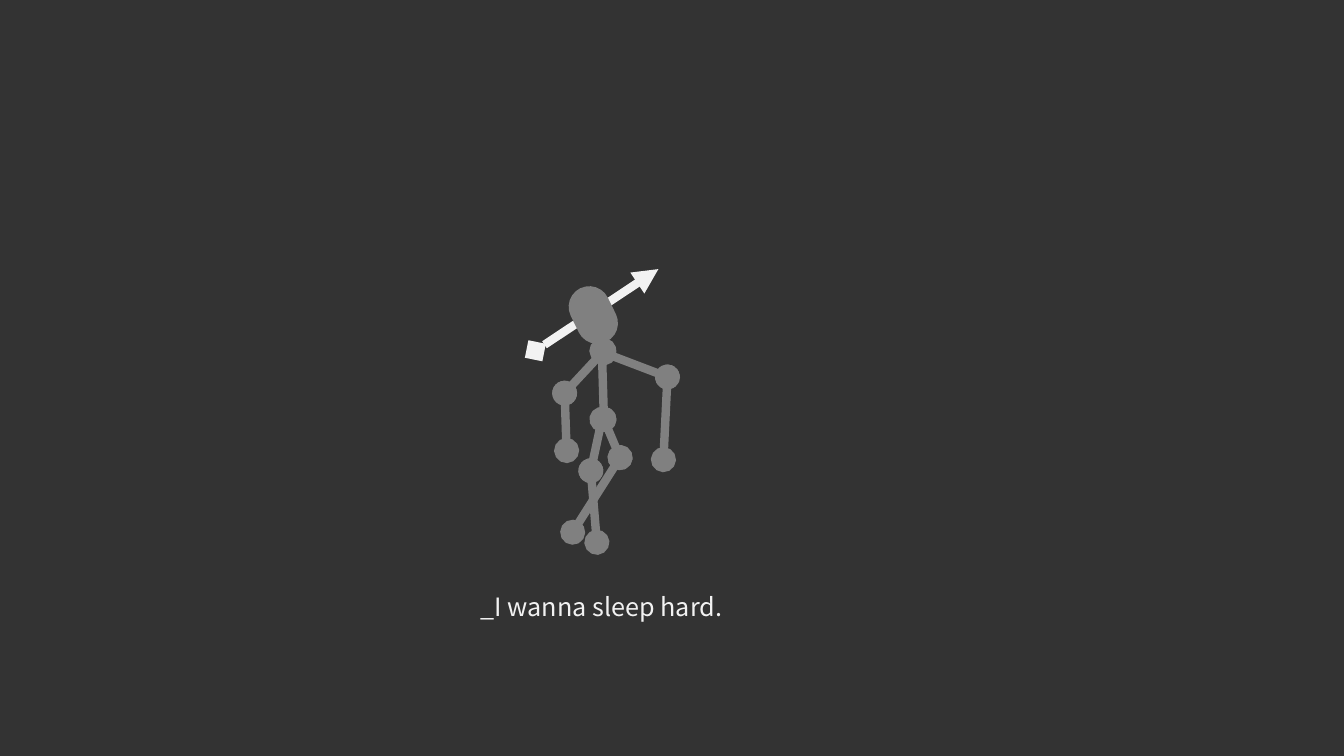
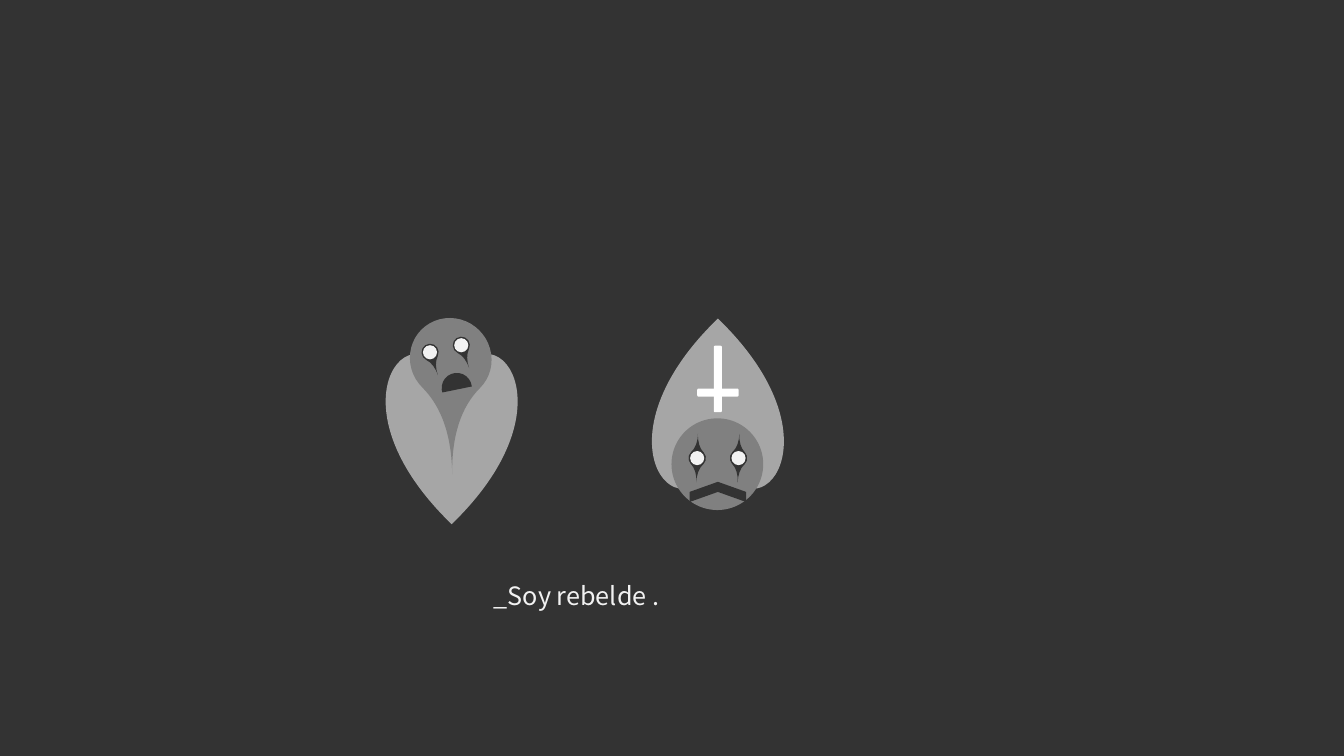
from itertools import pairwise

from lxml.etree import SubElement
from pptx import Presentation
from pptx.dml.color import RGBColor
from pptx.enum.shapes import MSO_CONNECTOR, MSO_SHAPE as Preset
from pptx.enum.text import MSO_AUTO_SIZE
from pptx.oxml.ns import qn
from pptx.util import Inches, Pt

BACKDROP = "333333"
BODY = "808080"
HOOD = "A6A6A6"
PALE = "F2F2F2"
WHITE = "FFFFFF"
FONT = "Noto Sans CJK SC"
SOCKET_SIZE = 0.17
EYEBALL_SIZE = 0.14


def rgb(value):
    return RGBColor.from_string(value)


class Storyboard:
    """Holds the shared style and the slide being drawn."""

    def __init__(self):
        self.deck = Presentation()
        self.deck.slide_width = Inches(13.33)
        self.deck.slide_height = Inches(7.5)

    def start_slide(self, caption, left, top, width):
        self.slide = self.deck.slides.add_slide(self.deck.slide_layouts[6])
        self.slide.background.fill.solid()
        self.slide.background.fill.fore_color.rgb = rgb(BACKDROP)
        self.canvas = self.slide.shapes
        box = self.canvas.add_textbox(Inches(left), Inches(top), Inches(width), Inches(0.42))
        box.text_frame.word_wrap = False
        box.text_frame.auto_size = MSO_AUTO_SIZE.SHAPE_TO_FIT_TEXT
        line = box.text_frame.paragraphs[0]
        line.text = caption
        line.font.size = Pt(18)
        line.font.name = FONT
        line.font.color.rgb = rgb(PALE)

    def start_group(self):
        self.canvas = self.slide.shapes.add_group_shape().shapes

    def shape(self, preset, left, top, width, height, fill, rotation=0, adjust=()):
        part = self.canvas.add_shape(preset, Inches(left), Inches(top), Inches(width), Inches(height))
        part.shadow.inherit = False
        part.rotation = rotation
        part.fill.solid()
        part.fill.fore_color.rgb = rgb(fill)
        part.line.fill.background()
        for index, value in enumerate(adjust):
            part.adjustments[index] = value

    def stick(self, start, end, color=BODY, head="oval", tail="oval"):
        stick = self.canvas.add_connector(MSO_CONNECTOR.STRAIGHT, *map(Inches, start + end))
        stick.line.color.rgb = rgb(color)
        stick.line.width = Pt(6)
        outline = stick.line._get_or_add_ln()
        SubElement(outline, qn("a:headEnd"), type=head)
        SubElement(outline, qn("a:tailEnd"), type=tail)
        SubElement(stick._element.spPr, qn("a:effectLst"))

    def limb(self, *joints):
        for start, end in pairwise(joints):
            self.stick(start, end)

    def eye(self, left, top, *tear_angles):
        for angle in tear_angles:
            self.shape(Preset.TEAR, left, top, SOCKET_SIZE, SOCKET_SIZE, BACKDROP, angle, [2])
        inset = (SOCKET_SIZE - EYEBALL_SIZE) / 2
        self.shape(Preset.OVAL, left + inset, top + inset, EYEBALL_SIZE, EYEBALL_SIZE, PALE)


def draw_sleeper(board):
    board.start_slide("_I wanna sleep hard.", 4.67, 5.82, 2.62)
    board.limb((5.97, 3.48), (5.99, 4.16))
    board.limb((5.99, 3.48), (5.6, 3.9), (5.62, 4.47))
    board.limb((5.97, 4.16), (5.86, 4.67), (5.92, 5.38))
    board.limb((5.99, 4.16), (6.15, 4.54), (5.68, 5.28))
    board.limb((5.99, 3.5), (6.62, 3.74), (6.58, 4.56))
    board.stick((6.53, 2.67), (5.31, 3.48), PALE, "triangle", "diamond")
    board.shape(Preset.ROUNDED_RECTANGLE, 5.68, 2.83, 0.41, 0.59, BODY, 334, [0.5])


def draw_rebels(board):
    board.start_slide("_Soy rebelde .", 4.8, 5.71, 1.86)

    board.start_group()
    board.shape(Preset.HEART, 3.83, 3.49, 1.3, 1.71, HOOD)
    board.shape(Preset.TEAR, 4.07, 3.15, 0.8, 0.82, BODY, 135, [2])
    board.shape(Preset.CHORD, 4.38, 3.7, 0.3, 0.3, BACKDROP, 84, [47.33, 162])
    for left, top in ((4.18, 3.41), (4.49, 3.34)):
        board.eye(left, top, 116)

    board.start_group()
    board.shape(Preset.HEART, 6.47, 3.16, 1.3, 1.71, HOOD, 180)
    board.shape(Preset.OVAL, 6.66, 4.15, 0.91, 0.91, BODY)
    board.shape(Preset.CHEVRON, 7.02, 4.6, 0.2, 0.56, BACKDROP, 270)
    board.shape(Preset.ROUNDED_RECTANGLE, 7.08, 3.43, 0.08, 0.66, WHITE)
    board.shape(Preset.ROUNDED_RECTANGLE, 7.08, 3.69, 0.08, 0.41, WHITE, 90)
    for left in (6.83, 7.24):
        board.eye(left, 4.46, 137, 317)


def main():
    board = Storyboard()
    draw_sleeper(board)
    draw_rebels(board)
    board.deck.save("out.pptx")


if __name__ == "__main__":
    main()
